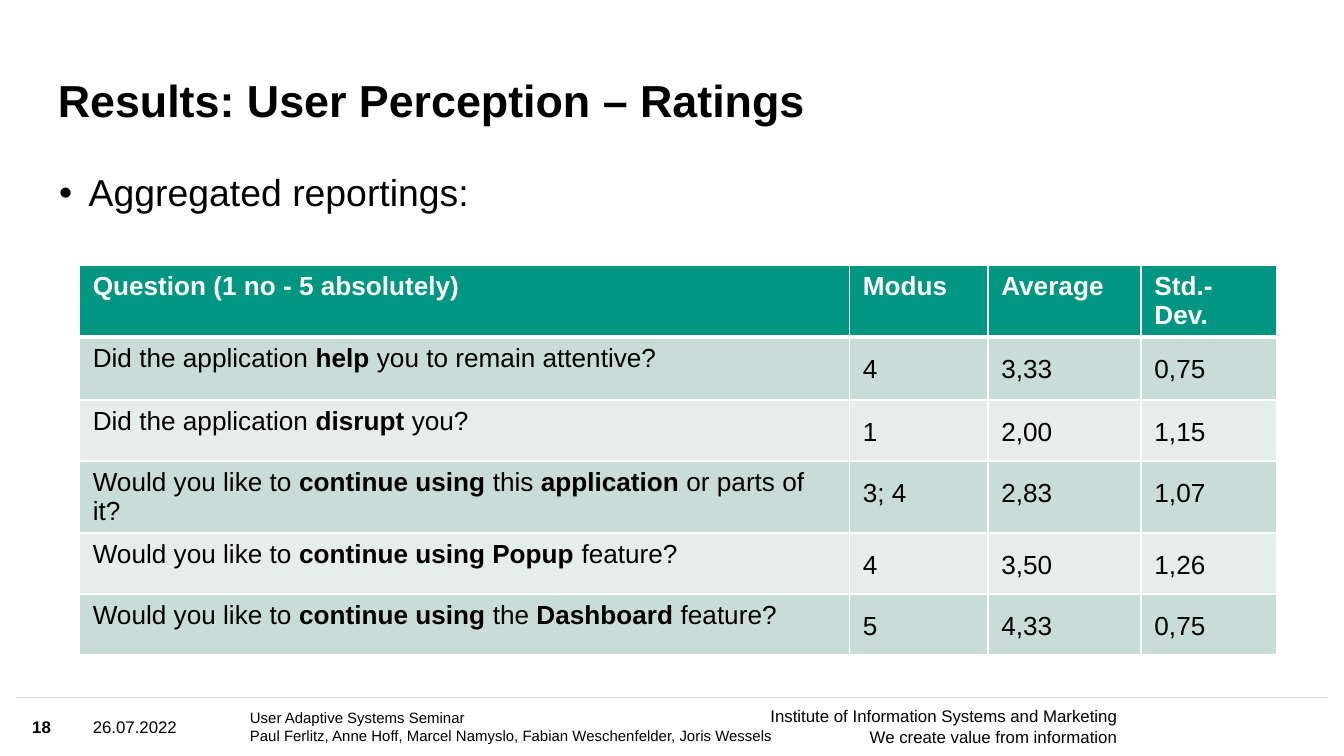
from lxml.etree import SubElement
from pptx import Presentation
from pptx.dml.color import RGBColor
from pptx.enum.shapes import MSO_CONNECTOR
from pptx.enum.text import MSO_ANCHOR, MSO_AUTO_SIZE, PP_ALIGN
from pptx.oxml import parse_xml
from pptx.oxml.ns import nsdecls, qn
from pptx.util import Inches, Pt

BLACK = RGBColor(0x00, 0x00, 0x00)
WHITE = RGBColor(0xFF, 0xFF, 0xFF)
GREEN = RGBColor(0x00, 0x96, 0x82)
BANDS = [RGBColor(0xCA, 0xDC, 0xD8), RGBColor(0xE6, 0xEE, 0xEC)]
GREY = RGBColor(0xD9, 0xD9, 0xD9)
FONT = "Arial"

# Content
TITLE = "Results: User Perception – Ratings"
BULLET = "Aggregated reportings:"
HEADERS = ["Question (1 no - 5 absolutely)", "Modus", "Average", "Std.-Dev."]
# Question runs alternate between regular and bold
RATINGS = [
    (["Did the application ", "help ", "you to remain attentive?"], "4", "3,33", "0,75"),
    (["Did the application ", "disrupt ", "you?"], "1", "2,00", "1,15"),
    (["Would you like to ", "continue using ", "this ", "application ",
      "or parts of it?"], "3; 4", "2,83", "1,07"),
    (["Would you like to ", "continue using Popup", " feature?"], "4", "3,50", "1,26"),
    (["Would you like to ", "continue using ", "the ", "Dashboard", " feature?"],
     "5", "4,33", "0,75"),
]
COLUMN_WIDTHS = [5.73, 1.03, 1.14, 1.01]
ROW_HEIGHTS = [0.41, 0.47, 0.41, 0.41, 0.41, 0.41]
# Footer parts: left, width, size, bold, alignment, lines
FOOTER_TOP, FOOTER_HEIGHT = 5.19, 0.43
FOOTER = [
    (1.86, 4.03, 8, False, PP_ALIGN.LEFT,
     ["User Adaptive Systems Seminar",
      "Paul Ferlitz, Anne Hoff, Marcel Namyslo, Fabian Weschenfelder, Joris Wessels"]),
    (4.76, 3.55, 9, False, PP_ALIGN.RIGHT,
     ["Institute of Information Systems and Marketing",
      "We create value from information"]),
    (0.69, 1.12, 9, False, PP_ALIGN.LEFT, ["26.07.2022"]),
    (0.24, 0.36, 9, True, PP_ALIGN.LEFT, ["18"]),
]


def add_run(paragraph, text, size, bold=False, color=BLACK):
    run = paragraph.add_run()
    run.text = text
    run.font.name = FONT
    run.font.size = Pt(size)
    run.font.bold = bold
    run.font.color.rgb = color


def set_frame(frame, anchor):
    frame.word_wrap = True
    frame.auto_size = MSO_AUTO_SIZE.NONE
    frame.vertical_anchor = anchor
    frame.margin_left = frame.margin_right = 0
    frame.margin_top = frame.margin_bottom = 0


def fill_placeholder(shape, box, anchor, text, size, bold):
    shape.left, shape.top, shape.width, shape.height = map(Inches, box)
    set_frame(shape.text_frame, anchor)
    paragraph = shape.text_frame.paragraphs[0]
    paragraph.alignment = PP_ALIGN.LEFT
    paragraph.line_spacing = 0.9
    paragraph.space_before = Pt(0)
    add_run(paragraph, text, size, bold)
    return paragraph


def set_borders(cell, top, bottom):
    properties = cell._tc.get_or_add_tcPr()
    widths = {"lnL": 1, "lnR": 1, "lnT": top, "lnB": bottom}
    for position, (side, width) in enumerate(widths.items()):
        properties.insert(position, parse_xml(
            f'<a:{side} {nsdecls("a")} w="{Pt(width)}"><a:solidFill>'
            f'<a:srgbClr val="{WHITE}"/></a:solidFill></a:{side}>'))


def fill_cell(cell, runs, row, column):
    header = row == 0
    number = column > 0 and not header
    cell.fill.solid()
    cell.fill.fore_color.rgb = GREEN if header else BANDS[(row - 1) % 2]
    set_borders(cell, 3 if row == 1 else 1, 3 if header else 1)
    cell.margin_left = cell.margin_right = Inches(0.1)
    cell.margin_top = cell.margin_bottom = Inches(0.1 if number else 0.05)
    paragraph = cell.text_frame.paragraphs[0]
    if number:
        paragraph.line_spacing = 1.15
    for index, text in enumerate(runs):
        add_run(paragraph, text, 14, header or index % 2 == 1, WHITE if header else BLACK)


def add_ratings_table(slide):
    rows = [[[text] for text in HEADERS]]
    rows += [[question] + [[value] for value in values] for question, *values in RATINGS]
    frame = slide.shapes.add_table(
        len(rows), len(HEADERS), Inches(0.59), Inches(1.97),
        Inches(sum(COLUMN_WIDTHS)), Inches(sum(ROW_HEIGHTS)))
    table = frame.table
    for column, width in zip(table.columns, COLUMN_WIDTHS):
        column.width = Inches(width)
    for table_row, height in zip(table.rows, ROW_HEIGHTS):
        table_row.height = Inches(height)
    for row, cells in enumerate(rows):
        for column, runs in enumerate(cells):
            fill_cell(table.cell(row, column), runs, row, column)


def add_footer(slide):
    line = slide.shapes.add_connector(
        MSO_CONNECTOR.STRAIGHT, Inches(0.12), Inches(FOOTER_TOP),
        Inches(9.88), Inches(FOOTER_TOP))
    line.line.color.rgb = GREY
    line.line.width = Pt(1)
    SubElement(line._element.spPr, qn("a:effectLst"))
    for left, width, size, bold, alignment, lines in FOOTER:
        box = slide.shapes.add_textbox(
            Inches(left), Inches(FOOTER_TOP), Inches(width), Inches(FOOTER_HEIGHT))
        frame = box.text_frame
        set_frame(frame, MSO_ANCHOR.MIDDLE)
        for index, text in enumerate(lines):
            paragraph = frame.add_paragraph() if index else frame.paragraphs[0]
            paragraph.alignment = alignment
            add_run(paragraph, text, size, bold)


def main():
    # Widescreen page, 16:9
    presentation = Presentation()
    presentation.slide_width = Inches(10)
    presentation.slide_height = Inches(10 * 9 / 16)
    slide = presentation.slides.add_slide(presentation.slide_layouts[1])

    # Title and bullet
    fill_placeholder(slide.shapes.title, (0.43, 0.32, 7.51, 0.63),
                     MSO_ANCHOR.BOTTOM, TITLE, 24, True)
    paragraph = fill_placeholder(slide.placeholders[1], (0.44, 1.3, 7.07, 3.68),
                                 MSO_ANCHOR.TOP, BULLET, 20, False)
    properties = paragraph._p.get_or_add_pPr()
    properties.set("marL", str(Inches(0.22)))
    properties.set("indent", str(-Inches(0.22)))
    SubElement(properties, qn("a:buFont"), typeface=FONT)
    SubElement(properties, qn("a:buChar"), char="•")

    add_ratings_table(slide)
    add_footer(slide)
    presentation.save("out.pptx")


if __name__ == "__main__":
    main()
